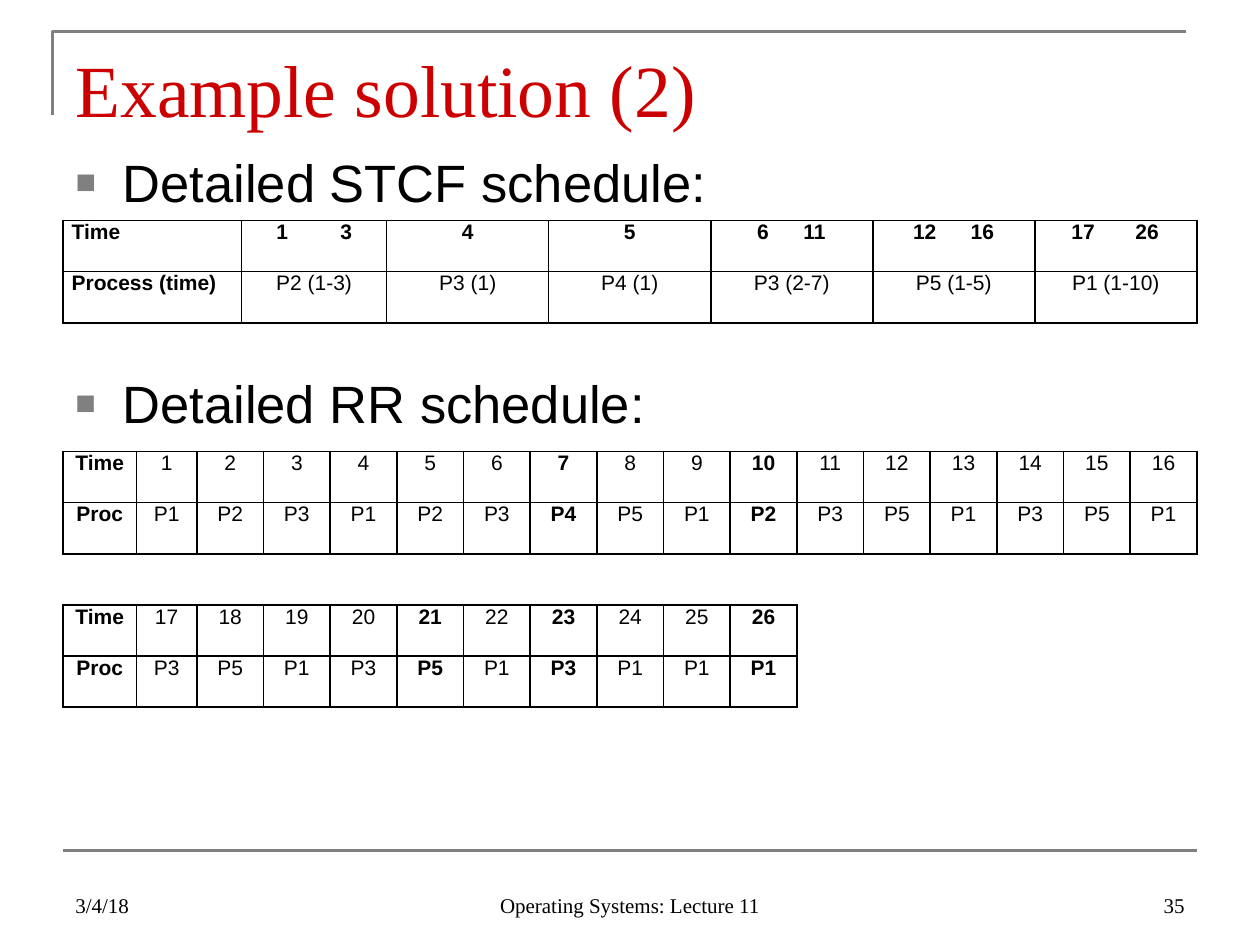
from dataclasses import dataclass, field

from lxml.etree import SubElement
from pptx import Presentation
from pptx.dml.color import RGBColor
from pptx.enum.shapes import MSO_CONNECTOR as Connector
from pptx.enum.text import MSO_ANCHOR as Anchor, MSO_AUTO_SIZE as AutoSize, PP_ALIGN as Align
from pptx.oxml.ns import qn
from pptx.util import Pt

COLORS = {"title": "CC0000", "text": "000000", "rule": "808080", "cell": "FFFFFF"}
SANS, SERIF = "Arial", "Times New Roman"
LEFT, WIDTH = 36, 648
ROW_HEIGHT = 29.25


@dataclass
class Schedule:
    """A grid of cells; a leading * marks a bold cell."""
    top: float
    columns: list[float]
    rows: list[list[str]]
    label_align: Align = Align.CENTER
    tab_stops: dict[str, tuple[float, float]] = field(default_factory=dict)


@dataclass
class Footer:
    text: str
    left: float
    width: float
    align: Align


def rgb(name: str) -> RGBColor:
    return RGBColor.from_string(COLORS[name])


def style_runs(paragraph, font: str, size: float, color: str = "text", bold: bool = False) -> None:
    for run in paragraph.runs:
        run.font.name, run.font.size, run.font.bold = font, Pt(size), bold
        run.font.color.rgb = rgb(color)


def place(shape, left: float, top: float, width: float, height: float) -> None:
    shape.left, shape.top, shape.width, shape.height = map(Pt, (left, top, width, height))
    shape.text_frame.word_wrap = True
    shape.text_frame.auto_size = AutoSize.NONE


def write_heading(shape, text: str, top: float) -> None:
    """Fill a shape with one square-bulleted line."""
    place(shape, LEFT, top, WIDTH, 50)
    frame = shape.text_frame
    frame.text, frame.margin_top, frame.vertical_anchor = text, Pt(8), Anchor.TOP
    paragraph = frame.paragraphs[0]
    paragraph.space_before = Pt(0)
    props = paragraph._p.get_or_add_pPr()
    props.set("marL", str(Pt(27)))
    props.set("indent", str(-Pt(27)))
    bullet_color = SubElement(props, qn("a:buClr"))
    SubElement(bullet_color, qn("a:srgbClr"), val=COLORS["rule"])
    SubElement(props, qn("a:buSzPct"), val="65000")
    SubElement(props, qn("a:buFont"), typeface=SANS)
    SubElement(props, qn("a:buChar"), char="■")
    style_runs(paragraph, SANS, 30)


def add_border(cell, side: str, visible: bool) -> None:
    line = SubElement(cell._tc.get_or_add_tcPr(), qn(f"a:ln{side}"), w=str(Pt(1)))
    if visible:
        fill = SubElement(line, qn("a:solidFill"))
        SubElement(fill, qn("a:srgbClr"), val=COLORS["text"])
    else:
        SubElement(line, qn("a:noFill"))


def add_schedule(slide, schedule: Schedule) -> None:
    row_count, column_count = len(schedule.rows), len(schedule.columns)
    table = slide.shapes.add_table(
        row_count, column_count, Pt(LEFT), Pt(schedule.top),
        Pt(WIDTH), Pt(ROW_HEIGHT * row_count)).table
    table.first_row = table.horz_banding = False
    for column, width in zip(table.columns, schedule.columns):
        column.width = Pt(width)

    def entry(row: int, column: int) -> str:
        if 0 <= row < row_count and 0 <= column < len(schedule.rows[row]):
            return schedule.rows[row][column]
        return ""

    for r in range(row_count):
        table.rows[r].height = Pt(ROW_HEIGHT)
        for c in range(column_count):
            cell, text = table.cell(r, c), entry(r, c)
            cell.margin_left = cell.margin_right = Pt(5)
            cell.margin_top = cell.margin_bottom = Pt(0)
            # A side is ruled when a filled cell touches it
            neighbours = {"L": (r, c - 1), "R": (r, c + 1), "T": (r - 1, c), "B": (r + 1, c)}
            for side, position in neighbours.items():
                add_border(cell, side, bool(text or entry(*position)))
            cell.fill.solid()
            cell.fill.fore_color.rgb = rgb("cell")
            if not text:
                continue
            label = text.lstrip("*")
            cell.text_frame.text = label
            paragraph = cell.text_frame.paragraphs[0]
            paragraph.alignment = schedule.label_align if c == 0 else Align.CENTER
            if label in schedule.tab_stops:
                paragraph.alignment = Align.LEFT
                tabs = SubElement(paragraph._p.get_or_add_pPr(), qn("a:tabLst"))
                for stop in schedule.tab_stops[label]:
                    SubElement(tabs, qn("a:tab"), pos=str(Pt(stop)), algn="l")
            style_runs(paragraph, SANS, 12, bold=text.startswith("*"))


def style_rule(line_shape) -> None:
    line_shape.line.color.rgb = rgb("rule")
    line_shape.line.width = Pt(1.5)


def add_frame_lines(slide) -> None:
    # Corner bracket above the title
    builder = slide.shapes.build_freeform(Pt(30), Pt(66))
    builder.add_line_segments([(Pt(30), Pt(18)), (Pt(678), Pt(18))], close=False)
    bracket = builder.convert_to_shape()
    bracket.shadow.inherit = False
    bracket.fill.background()
    style_rule(bracket)
    # Rule above the footer
    rule = slide.shapes.add_connector(
        Connector.STRAIGHT, Pt(LEFT), Pt(486), Pt(LEFT + WIDTH), Pt(486))
    SubElement(rule._element.spPr, qn("a:effectLst"))
    style_rule(rule)


def add_footer(slide, footer: Footer) -> None:
    box = slide.shapes.add_textbox(0, 0, 0, 0)
    place(box, footer.left, 492, footer.width, 36)
    box.text_frame.text = footer.text
    box.text_frame.vertical_anchor = Anchor.BOTTOM
    paragraph = box.text_frame.paragraphs[0]
    paragraph.alignment = footer.align
    style_runs(paragraph, SERIF, 12)


STCF = Schedule(
    top=126,
    columns=[102, 83] + [92.6] * 5,
    rows=[
        ["*Time", "*\t1\t3", "*4", "*5", "*\t6\t11", "*\t12\t16", "*\t17\t26"],
        ["*Process (time)", "P2 (1-3)", "P3 (1)", "P4 (1)", "P3 (2-7)", "P5 (1-5)", "P1 (1-10)"],
    ],
    label_align=Align.LEFT,
    tab_stops={"\t1\t3": (15, 51.5), "\t6\t11": (21.5, 48),
               "\t12\t16": (18, 51), "\t17\t26": (16, 52.5)},
)
ROUND_ROBIN = Schedule(
    top=258,
    columns=[42, 34.5] + [38.1] * 15,
    rows=[
        "*Time 1 2 3 4 5 6 *7 8 9 *10 11 12 13 14 15 16".split(),
        "*Proc P1 P2 P3 P1 P2 P3 *P4 P5 P1 *P2 P3 P5 P1 P3 P5 P1".split(),
        [],
        "*Time 17 18 19 20 *21 22 *23 24 25 *26".split(),
        "*Proc P3 P5 P1 P3 *P5 P1 *P3 P1 P1 *P1".split(),
    ],
)
FOOTERS = [
    Footer("3/4/18", 36, 168, Align.LEFT),
    Footer("Operating Systems: Lecture 11", 246, 228, Align.CENTER),
    Footer("35", 516, 168, Align.RIGHT),
]


def main() -> None:
    deck = Presentation()
    deck.slide_width, deck.slide_height = Pt(720), Pt(540)
    slide = deck.slides.add_slide(deck.slide_layouts[1])
    add_frame_lines(slide)

    # Title
    title = slide.shapes.title
    place(title, LEFT, 21.5, WIDTH, 56)
    title.text_frame.text = "Example solution (2)"
    title.text_frame.vertical_anchor = Anchor.BOTTOM
    title.text_frame.margin_bottom = Pt(2)
    title.text_frame.paragraphs[0].alignment = Align.LEFT
    style_runs(title.text_frame.paragraphs[0], SERIF, 42, "title")

    # Schedules under their headings
    write_heading(slide.placeholders[1], "Detailed STCF schedule:", 78)
    add_schedule(slide, STCF)
    write_heading(slide.shapes.add_textbox(0, 0, 0, 0), "Detailed RR schedule:", 204)
    add_schedule(slide, ROUND_ROBIN)

    for footer in FOOTERS:
        add_footer(slide, footer)
    deck.save("out.pptx")


if __name__ == "__main__":
    main()
